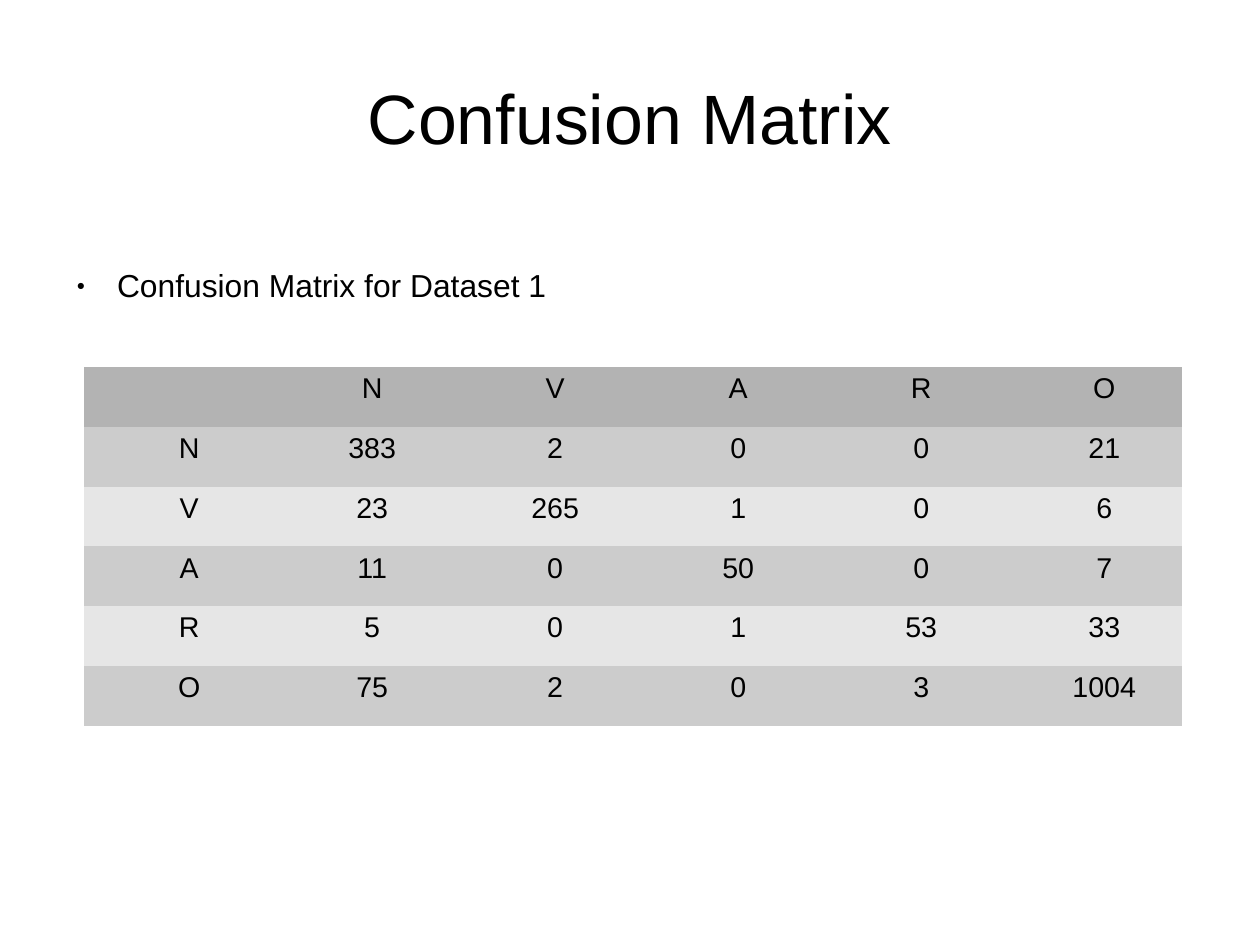
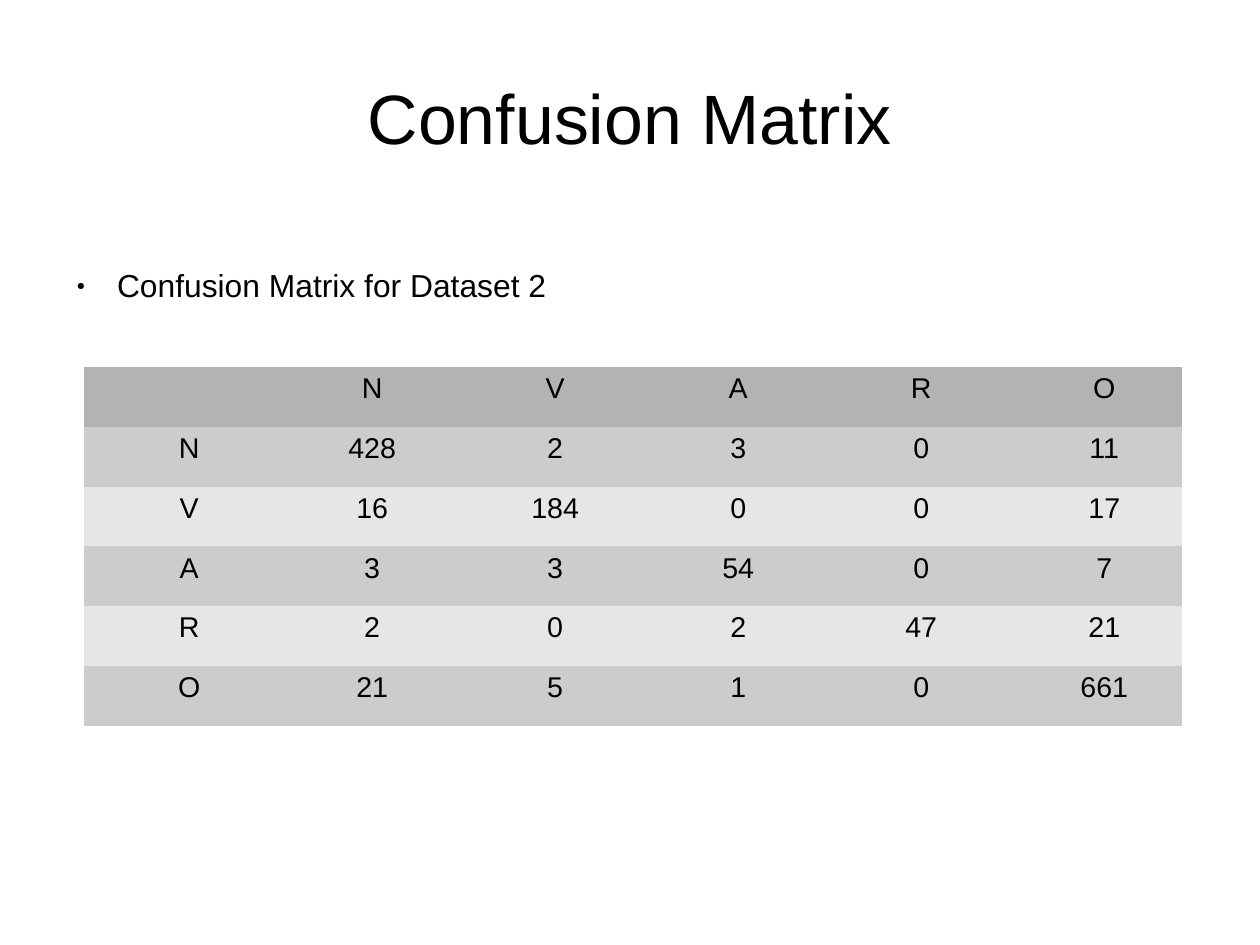
from lxml import etree
from pptx import Presentation
from pptx.dml.color import RGBColor
from pptx.enum.text import MSO_ANCHOR, MSO_AUTO_SIZE, PP_ALIGN
from pptx.oxml.ns import qn
from pptx.util import Pt

CENTER, LEFT = PP_ALIGN.CENTER, PP_ALIGN.LEFT
TOP, MIDDLE = MSO_ANCHOR.TOP, MSO_ANCHOR.MIDDLE
NO_FIT = MSO_AUTO_SIZE.NONE

# Shared look
FONT = "Arial"
BLACK, HEADER, DARK_BAND, LIGHT_BAND = "000000", "B3B3B3", "CCCCCC", "E6E6E6"
PLAIN_TABLE = "{2D5ABB26-0587-4C30-8999-92F81FD0307C}"
SLIDE_W, SLIDE_H = 793.7, 595.3
TITLE_BOX = (39.7, 23.8, 714.3, 99.4)
BODY_BOX = (39.7, 167.7, 698.4, 344.9)
TABLE_X, TABLE_Y = 53, 231.2
COL_W, ROW_H = 115.3, 37.7

# Content
CLASSES = ["N", "V", "A", "R", "O"]
MATRICES = {
    "Confusion Matrix for Dataset 1": [
        [383, 2, 0, 0, 21],
        [23, 265, 1, 0, 6],
        [11, 0, 50, 0, 7],
        [5, 0, 1, 53, 33],
        [75, 2, 0, 3, 1004],
    ],
    "Confusion Matrix for Dataset 2": [
        [428, 2, 3, 0, 11],
        [16, 184, 0, 0, 17],
        [3, 3, 54, 0, 7],
        [2, 0, 2, 47, 21],
        [21, 5, 1, 0, 661],
    ],
}


def rgb(value):
    return RGBColor.from_string(value)


def set_attrs(obj, values):
    for name, value in values.items():
        setattr(obj, name, value)


def write(p, text, size, align):
    p.alignment = align
    r = p.add_run()
    r.text = text
    set_attrs(r.font, {"name": FONT, "size": Pt(size), "bold": False})
    r.font.color.rgb = rgb(BLACK)


def set_indent(p, margin, first_line=0):
    pPr = p._p.get_or_add_pPr()
    pPr.set("marL", str(Pt(margin)))
    pPr.set("indent", str(Pt(first_line)))
    return pPr


def fill_placeholder(sp, box, text, size, align, anchor):
    set_attrs(sp, dict(zip(("left", "top", "width", "height"), map(Pt, box))))
    tf = sp.text_frame
    set_attrs(tf, {"margin_left": 0, "margin_top": 0, "margin_right": 0,
                   "margin_bottom": 0, "word_wrap": True,
                   "auto_size": NO_FIT, "vertical_anchor": anchor})
    p = tf.paragraphs[0]
    write(p, text, size, align)
    return p


def add_bullet(p):
    set_attrs(p, {"space_before": Pt(0), "space_after": Pt(14.2)})
    pPr = set_indent(p, 34, -25.5)
    color = etree.SubElement(pPr, qn("a:buClr"))
    etree.SubElement(color, qn("a:srgbClr"), val=BLACK)
    etree.SubElement(pPr, qn("a:buSzPct"), val="45000")
    etree.SubElement(pPr, qn("a:buFont"), typeface=FONT)
    etree.SubElement(pPr, qn("a:buChar"), char="●")


def row_color(row):
    if row == 0:
        return HEADER
    return DARK_BAND if row % 2 else LIGHT_BAND


def add_matrix(slide, counts):
    rows = [[""] + CLASSES] + [[c] + n for c, n in zip(CLASSES, counts)]
    n_rows, n_cols = len(rows), len(rows[0])
    frame = slide.shapes.add_table(n_rows, n_cols, Pt(TABLE_X), Pt(TABLE_Y),
                                   Pt(COL_W * n_cols), Pt(ROW_H * n_rows))
    table = frame.table
    table._tbl.tblPr.find(qn("a:tableStyleId")).text = PLAIN_TABLE
    set_attrs(table, {"first_row": False, "horz_banding": False})
    for i, values in enumerate(rows):
        for j, value in enumerate(values):
            cell = table.cell(i, j)
            cell.fill.solid()
            cell.fill.fore_color.rgb = rgb(row_color(i))
            if value != "":
                p = cell.text_frame.paragraphs[0]
                write(p, str(value), 18, CENTER)
                set_indent(p, 17)


def add_matrix_slide(prs, caption, counts):
    slide = prs.slides.add_slide(prs.slide_layouts[1])
    fill_placeholder(slide.shapes.title, TITLE_BOX, "Confusion Matrix", 44, CENTER, MIDDLE)
    p = fill_placeholder(slide.placeholders[1], BODY_BOX, caption, 20, LEFT, TOP)
    add_bullet(p)
    add_matrix(slide, counts)


def main():
    prs = Presentation()
    set_attrs(prs, {"slide_width": Pt(SLIDE_W), "slide_height": Pt(SLIDE_H)})
    for caption, counts in MATRICES.items():
        add_matrix_slide(prs, caption, counts)
    prs.save("out.pptx")


if __name__ == "__main__":
    main()
